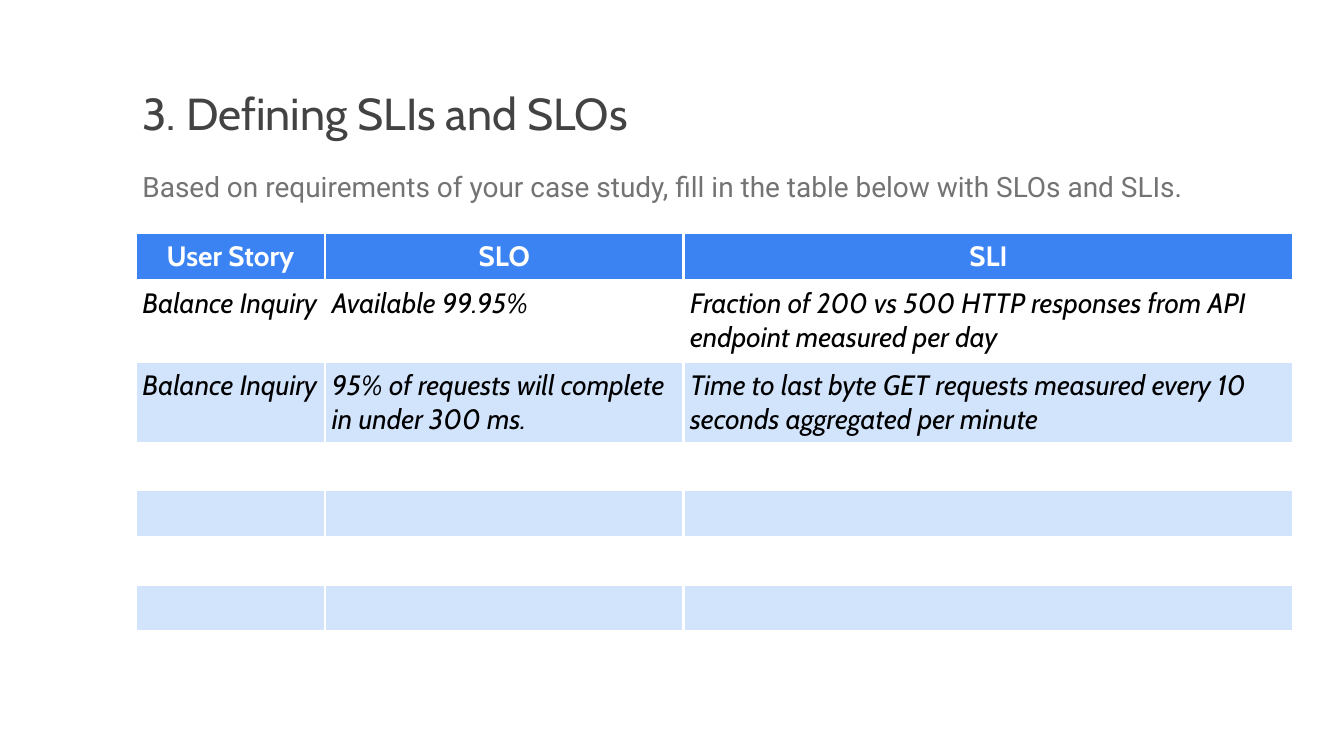
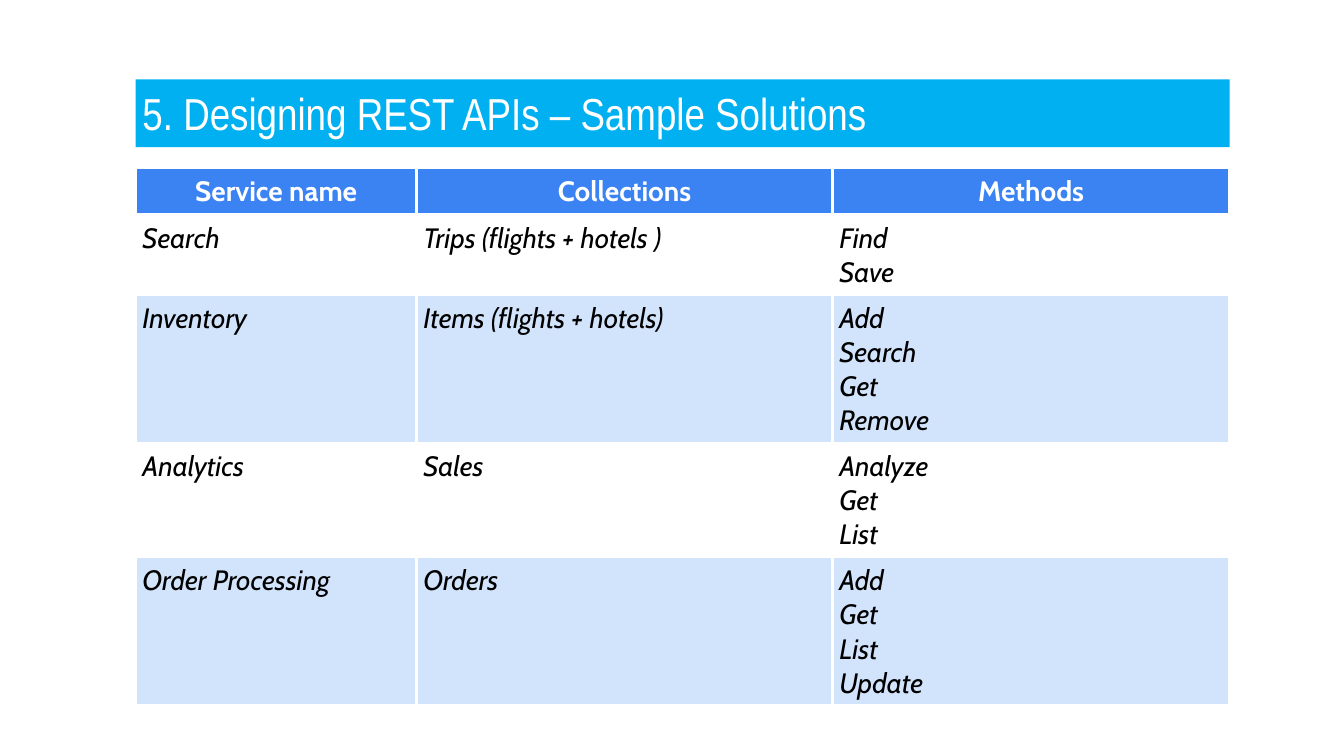
"""Build two workshop slides, each with a title and a banded table."""
from dataclasses import dataclass

from lxml.etree import SubElement
from pptx import Presentation
from pptx.dml.color import RGBColor as Color
from pptx.enum.text import MSO_ANCHOR as Anchor, MSO_AUTO_SIZE as AutoSize, PP_ALIGN as Align
from pptx.oxml.ns import qn
from pptx.util import Inches, Pt


@dataclass(frozen=True)
class Theme:
    white: Color = Color.from_string("FFFFFF")
    black: Color = Color.from_string("000000")
    title_gray: Color = Color.from_string("434343")
    body_gray: Color = Color.from_string("737373")
    title_band: Color = Color.from_string("00B0F0")
    header: Color = Color.from_string("3B83F3")
    band: Color = Color.from_string("D2E3FC")
    title_size: Pt = Pt(48)
    body_size: Pt = Pt(30)
    border_width: Pt = Pt(3)
    table_font: str = "Cabin"
    body_font: str = "Roboto"
    narrow_font: str = "Arial Narrow"


theme = Theme()
LEFT = Inches(2.02)
TITLE_TOP = Inches(1.18)
MARGIN = Inches(0.1)
LINE_HEIGHT = 0.5
CELL_PADDING = 0.2


def format_text(text_frame, font_name, size, color, align=Align.LEFT, bold=False, italic=False):
    text_frame.word_wrap = True
    text_frame.margin_left = text_frame.margin_right = MARGIN
    text_frame.margin_top = text_frame.margin_bottom = MARGIN
    text_frame.vertical_anchor = Anchor.TOP
    for paragraph in text_frame.paragraphs:
        paragraph.alignment = align
        for run in paragraph.runs:
            run.font.name = font_name
            run.font.size = size
            run.font.color.rgb = color
            run.font.bold = bold
            run.font.italic = italic


def add_banded_table(slide, top, column_widths, row_lines, rows):
    row_heights = [CELL_PADDING + LINE_HEIGHT * lines for lines in row_lines]
    frame = slide.shapes.add_table(len(row_lines), len(column_widths), LEFT, Inches(top),
                                   Inches(sum(column_widths)), Inches(sum(row_heights)))
    table = frame.table
    table.horz_banding = False
    for column, width in zip(table.columns, column_widths):
        column.width = Inches(width)
    for row_index, (row, height) in enumerate(zip(table.rows, row_heights)):
        row.height = Inches(height)
        is_header = row_index == 0
        for column_index, cell in enumerate(row.cells):
            properties = cell._tc.get_or_add_tcPr()
            for side in ("a:lnL", "a:lnR", "a:lnT", "a:lnB"):
                border = SubElement(properties, qn(side), w=str(theme.border_width))
                fill = SubElement(border, qn("a:solidFill"))
                SubElement(fill, qn("a:srgbClr"), val=str(theme.white))
            if is_header or row_index % 2 == 0:
                cell.fill.solid()
                cell.fill.fore_color.rgb = theme.header if is_header else theme.band
            else:
                cell.fill.background()
            cell.margin_left = cell.margin_right = MARGIN
            cell.margin_top = cell.margin_bottom = MARGIN
            if row_index < len(rows):
                cell.text_frame.text = rows[row_index][column_index]
                format_text(cell.text_frame, theme.table_font, theme.body_size,
                            theme.white if is_header else theme.black,
                            Align.CENTER if is_header else Align.LEFT,
                            bold=is_header, italic=not is_header)


presentation = Presentation()
presentation.slide_width = Inches(20)
presentation.slide_height = Inches(11.25)
title_layout = presentation.slide_layouts[5]

titles = [
    ("3. Defining SLIs and SLOs", 15.98, 1.18, theme.table_font, theme.title_gray),
    ("5. Designing REST APIs – Sample Solutions", 16.28, 1.01, theme.narrow_font, theme.white),
]
for text, width, height, font_name, color in titles:
    slide = presentation.slides.add_slide(title_layout)
    title = slide.shapes.title
    title.left, title.top = LEFT, TITLE_TOP
    title.width, title.height = Inches(width), Inches(height)
    title.text_frame.text = text
    title.text_frame.auto_size = AutoSize.NONE
    format_text(title.text_frame, font_name, theme.title_size, color)

objectives_slide, services_slide = presentation.slides

add_banded_table(
    objectives_slide, 3.46, [2.82, 5.33, 9.08], [1, 2, 2, 1, 1, 1, 1, 1],
    [
        ("User Story", "SLO", "SLI"),
        ("Balance Inquiry", "Available 99.95%",
         "Fraction of 200 vs 500 HTTP responses from API endpoint measured per day"),
        ("Balance Inquiry", "95% of requests will complete in under 300 ms.",
         "Time to last byte GET requests measured every 10 seconds aggregated per minute"),
    ],
)
instruction = objectives_slide.shapes.add_textbox(LEFT, Inches(2.35), Inches(17.09), Inches(0.74))
instruction.text_frame.text = (
    "Based on requirements of your case study, fill in the table below with SLOs and SLIs.")
format_text(instruction.text_frame, theme.body_font, theme.body_size, theme.body_gray)
instruction.text_frame.paragraphs[0].line_spacing = 1.15
instruction.text_frame.paragraphs[0].space_after = Pt(16)

services_title = services_slide.shapes.title
services_title.fill.solid()
services_title.fill.fore_color.rgb = theme.title_band
services_title.text_frame.auto_size = AutoSize.SHAPE_TO_FIT_TEXT

add_banded_table(
    services_slide, 2.49, [4.18, 6.19, 5.91], [1, 2, 4, 3, 4, 1],
    [
        ("Service name", "Collections", "Methods"),
        ("Search", "Trips (flights + hotels )", "Find\nSave"),
        ("Inventory", "Items (flights + hotels)", "Add\nSearch\nGet\nRemove"),
        ("Analytics", "Sales", "Analyze\nGet\nList"),
        ("Order Processing", "Orders", "Add\nGet\nList\nUpdate"),
    ],
)

presentation.save("out.pptx")
